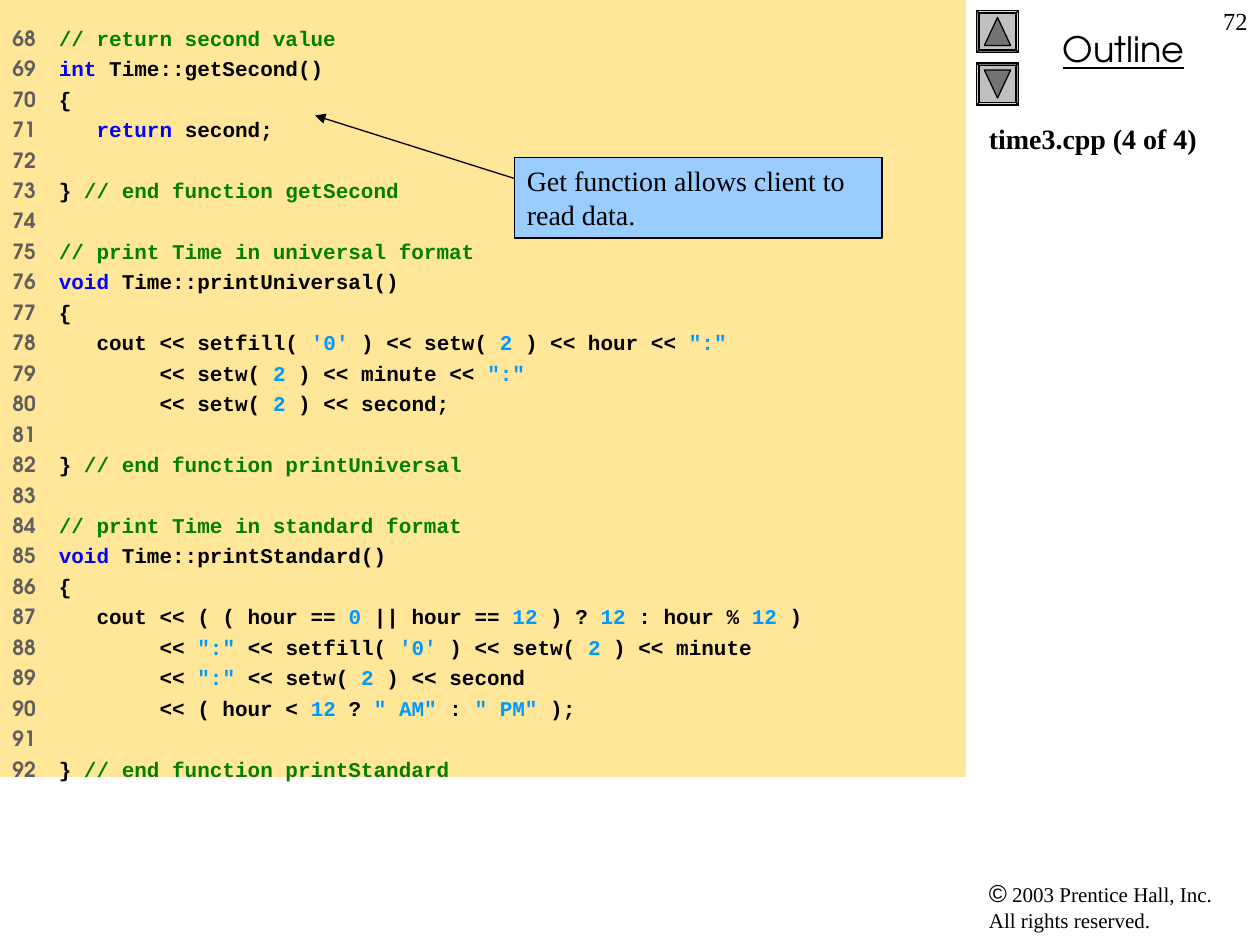
"""Builds the code walkthrough slide for time3.cpp, part 4 of 4."""
from typing import NamedTuple

from lxml import etree
from pptx import Presentation
from pptx import util as u
from pptx.dml.color import RGBColor
from pptx.enum import shapes, text
from pptx.oxml import ns

SERIF, SANS, GOTHIC, MONO = "Times New Roman", "Arial", "TeX Gyre Adventor", "Courier New"
BLACK = "000000"
FIRST_LINE_NUMBER = 68
CODE_INDENT = 26.5


class Box(NamedTuple):
    left: float
    top: float
    width: float
    height: float


class Style(NamedTuple):
    font: str
    size: float
    color: str = BLACK
    bold: bool = False
    underline: bool = False


class Token(NamedTuple):
    words: str
    style: Style


class Button(NamedTuple):
    top: float
    bevel_turn: int
    arrow_turn: int


NUMBER = Style(GOTHIC, 12, "5F5F5F", True)
PLAIN = Style(MONO, 12, BLACK, True)
KEYWORD = PLAIN._replace(color="0000FF")
COMMENT = PLAIN._replace(color="008000")
LITERAL = PLAIN._replace(color="0099FF")
SMALL_PRINT = Style(SERIF, 12)

BUTTONS = [Button(6, 90, 0), Button(36, 270, 180)]


def plain(words: str) -> Token:
    return Token(words, PLAIN)


def keyword(words: str) -> Token:
    return Token(words, KEYWORD)


def comment(words: str) -> Token:
    return Token(words, COMMENT)


def literal(words: str) -> Token:
    return Token(words, LITERAL)


CODE = [
    [comment("// return second value")],
    [keyword("int"), plain(" Time::getSecond()")],
    [plain("{")],
    [plain("   "), keyword("return"), plain(" second;")],
    [],
    [plain("} "), comment("// end function getSecond")],
    [],
    [comment("// print Time in universal format")],
    [keyword("void"), plain(" Time::printUniversal()")],
    [plain("{")],
    [plain("   cout << setfill( "), literal("'0' "), plain(") << setw( "), literal("2"),
     plain(" ) << hour << "), literal('":"')],
    [plain("        << setw( "), literal("2"), plain(" ) << minute <<"), literal(' ":"')],
    [plain("        << setw( "), literal("2"), plain(" ) << second;")],
    [],
    [plain("} "), comment("// end function printUniversal")],
    [],
    [comment("// print Time in standard format")],
    [keyword("void"), plain(" Time::printStandard()")],
    [plain("{")],
    [plain("   cout << ( ( hour == "), literal("0"), plain(" || hour == "), literal("12"),
     plain(" ) ? "), literal("12"), plain(" : hour % "), literal("12"), plain(" )")],
    [plain("        << "), literal('":"'), plain(" << setfill( "), literal("'0'"),
     plain(" ) << setw( "), literal("2"), plain(" ) << minute")],
    [plain("        << "), literal('":"'), plain(" << setw( "), literal("2"),
     plain(" ) << second")],
    [plain("        << ( hour < "), literal("12"), plain(" ? "), literal('" AM"'),
     plain(" : "), literal('" PM" '), plain(");")],
    [],
    [plain("} "), comment("// end function printStandard")],
]


def rgb(color: str) -> RGBColor:
    return RGBColor.from_string(color)


def points(box: Box) -> list:
    return [u.Pt(length) for length in box]


def add_token(paragraph, token: Token) -> None:
    run = paragraph.add_run()
    run.text = token.words
    style = token.style
    run.font.name, run.font.size = style.font, u.Pt(style.size)
    run.font.bold, run.font.underline = style.bold, style.underline
    run.font.color.rgb = rgb(style.color)


def add_label(slide, box: Box, tokens: list[Token], align=text.PP_ALIGN.LEFT):
    frame = slide.shapes.add_textbox(*points(box)).text_frame
    frame.word_wrap = True
    paragraph = frame.paragraphs[0]
    paragraph.alignment = align
    for token in tokens:
        add_token(paragraph, token)
    return paragraph


def add_panel(slide, preset, box: Box, fill: str, line: str | None = None):
    panel = slide.shapes.add_shape(preset, *points(box))
    panel.shadow.inherit = False
    panel.fill.solid()
    panel.fill.fore_color.rgb = rgb(fill)
    if line:
        panel.line.color.rgb = rgb(line)
        panel.line.width = u.Pt(0.75)
    else:
        panel.line.fill.background()
    panel.text_frame.word_wrap = True
    panel.text_frame.vertical_anchor = text.MSO_ANCHOR.TOP
    panel.text_frame.paragraphs[0].alignment = text.PP_ALIGN.LEFT
    return panel


def add_button(slide, button: Button) -> None:
    bevel = add_panel(slide, shapes.MSO_SHAPE.BEVEL, Box(558, button.top, 24, 24), "C0C0C0", BLACK)
    bevel.adjustments[0] = 0.06
    bevel.rotation = button.bevel_turn
    arrow = add_panel(slide, shapes.MSO_SHAPE.ISOSCELES_TRIANGLE,
                      Box(562.5, button.top + 4, 15, 16), "737373", BLACK)
    arrow.rotation = button.arrow_turn


def add_code(slide) -> None:
    frame = add_panel(slide, shapes.MSO_SHAPE.RECTANGLE, Box(0, 0, 552, 444), "FFE699").text_frame
    frame.margin_top = frame.margin_bottom = u.Pt(14.4)
    for index, tokens in enumerate(CODE):
        paragraph = frame.add_paragraph() if index else frame.paragraphs[0]
        paragraph.alignment = text.PP_ALIGN.LEFT
        paragraph.space_before = u.Pt(3 if index else 0)
        tabs = etree.SubElement(paragraph._p.get_or_add_pPr(), ns.qn("a:tabLst"))
        etree.SubElement(tabs, ns.qn("a:tab"), pos=str(u.Pt(CODE_INDENT)), algn="l")
        gap = "\t" if tokens else ""
        add_token(paragraph, Token(f"{FIRST_LINE_NUMBER + index}{gap}", NUMBER))
        for token in tokens:
            add_token(paragraph, token)


def add_callout(slide) -> None:
    callout = add_panel(slide, shapes.MSO_SHAPE.RECTANGLE, Box(294, 90, 210, 46), "99CCFF", BLACK)
    add_token(callout.text_frame.paragraphs[0],
              Token("Get function allows client to read data.", Style(SERIF, 16)))
    pointer = slide.shapes.add_connector(shapes.MSO_CONNECTOR.STRAIGHT,
                                         *points(Box(294, 102, 180, 66)))
    pointer.line.color.rgb = rgb(BLACK)
    pointer.line.width = u.Pt(0.75)
    etree.SubElement(pointer.line._get_or_add_ln(), ns.qn("a:tailEnd"), type="triangle")
    etree.SubElement(pointer._element.spPr, ns.qn("a:effectLst"))


def main() -> None:
    deck = Presentation()
    deck.slide_width, deck.slide_height = u.Pt(720), u.Pt(540)
    slide = deck.slides.add_slide(deck.slide_layouts[6])
    rights = add_label(slide, Box(558, 498, 156, 39),
                       [Token("©", Style(SANS, 14)),
                        Token(" 2003 Prentice Hall, Inc.", SMALL_PRINT)])
    rights.add_line_break()
    add_token(rights, Token("All rights reserved.", SMALL_PRINT))
    add_label(slide, Box(564, 12, 156, 32),
              [Token("Outline", Style(GOTHIC, 20, underline=True))], text.PP_ALIGN.CENTER)
    for button in BUTTONS:
        add_button(slide, button)
    add_label(slide, Box(558, 66, 162, 378),
              [Token("time3.cpp (4 of 4)", Style(SERIF, 16, bold=True))])
    add_code(slide)
    add_callout(slide)
    add_label(slide, Box(684, 0, 36, 36), [Token("72", Style(SERIF, 14))], text.PP_ALIGN.RIGHT)
    deck.save("out.pptx")


if __name__ == "__main__":
    main()
